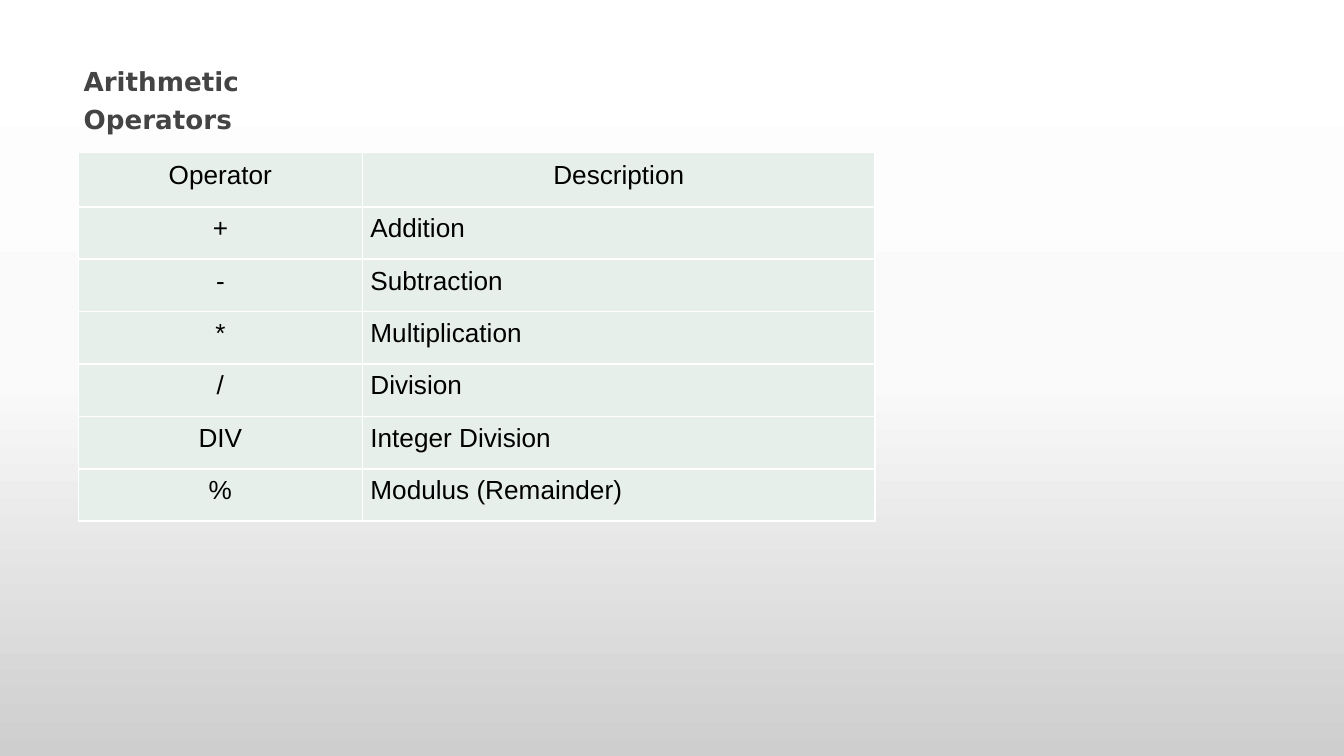
from copy import deepcopy

from lxml.etree import SubElement
from pptx import Presentation
from pptx.dml.color import RGBColor
from pptx.enum.text import MSO_ANCHOR, MSO_AUTO_SIZE, PP_ALIGN
from pptx.oxml.ns import qn
from pptx.util import Cm, Pt


def color(value):
    return RGBColor.from_string(value)


class SlideBuilder:
    title_font = "DejaVu Sans"
    table_font = "Arial"
    size = Pt(14)
    title_color = "444444"
    text_color = "000000"
    cell_color = "E7EFEB"
    border_color = "FFFFFF"

    def __init__(self, presentation):
        self.slide = presentation.slides.add_slide(presentation.slide_layouts[5])

    def background(self, stops):
        fill = self.slide.background.fill
        fill.gradient()
        fill.gradient_angle = 270
        stop_list = self.slide.element.find(".//" + qn("a:gsLst"))
        while len(stop_list) < len(stops):
            stop_list.append(deepcopy(stop_list[0]))
        for stop, (position, shade) in zip(fill.gradient_stops, stops):
            stop.position = position
            stop.color.rgb = color(shade)

    def add_text(self, paragraph, text, font, shade, bold, align, spacing):
        paragraph.alignment = align
        paragraph.line_spacing = spacing
        run = paragraph.add_run()
        run.text = text
        run.font.name = font
        run.font.size = self.size
        run.font.bold = bold
        run.font.color.rgb = color(shade)

    def title(self, text, left, top, width, height):
        heading = self.slide.shapes.title
        heading.left, heading.top = Cm(left), Cm(top)
        heading.width, heading.height = Cm(width), Cm(height)
        frame = heading.text_frame
        frame.word_wrap = True
        frame.auto_size = MSO_AUTO_SIZE.NONE
        frame.vertical_anchor = MSO_ANCHOR.TOP
        frame.margin_left = frame.margin_right = Cm(0.18)
        frame.margin_top = frame.margin_bottom = Cm(0.1)
        self.add_text(frame.paragraphs[0], text, self.title_font,
                      self.title_color, True, PP_ALIGN.LEFT, 1.2)

    def cell(self, cell, text, align, side, edge):
        cell.margin_left = cell.margin_right = Cm(side)
        cell.margin_top = cell.margin_bottom = Cm(edge)
        cell.vertical_anchor = MSO_ANCHOR.TOP
        properties = cell._tc.get_or_add_tcPr()
        for tag in ("a:lnL", "a:lnR", "a:lnT", "a:lnB"):
            border = SubElement(properties, qn(tag), w=str(Pt(1)))
            paint = SubElement(border, qn("a:solidFill"))
            SubElement(paint, qn("a:srgbClr"), val=self.border_color)
        cell.fill.solid()
        cell.fill.fore_color.rgb = color(self.cell_color)
        self.add_text(cell.text_frame.paragraphs[0], text, self.table_font,
                      self.text_color, False, align, 1.15)

    def table(self, rows, left, top, widths, heights):
        table = self.slide.shapes.add_table(
            len(rows), len(widths), Cm(left), Cm(top),
            Cm(sum(widths)), Cm(sum(heights))).table
        for column, width in zip(table.columns, widths):
            column.width = Cm(width)
        for r, (values, height) in enumerate(zip(rows, heights)):
            table.rows[r].height = Cm(height)
            side, edge = (0.15, 0.05) if r else (0.2, 0.08)
            for c, text in enumerate(values):
                align = PP_ALIGN.LEFT if r and c else PP_ALIGN.CENTER
                self.cell(table.cell(r, c), text, align, side, edge)


presentation = Presentation()
presentation.slide_width = Cm(25.4)
presentation.slide_height = Cm(14.29)

operators = [
    ("Operator", "Description"),
    ("+", "Addition"),
    ("-", "Subtraction"),
    ("*", "Multiplication"),
    ("/", "Division"),
    ("DIV", "Integer Division"),
    ("%", "Modulus (Remainder)"),
]

builder = SlideBuilder(presentation)
builder.background([(0, "FFFFFF"), (0.5, "FAFAFA"), (1, "CECECE")])
builder.title("Arithmetic Operators", 1.4, 1.02, 6.1, 0.81)
builder.table(operators, 1.48, 2.88, [5.37, 9.69], [1.03] + [0.99] * 6)
presentation.save("out.pptx")
